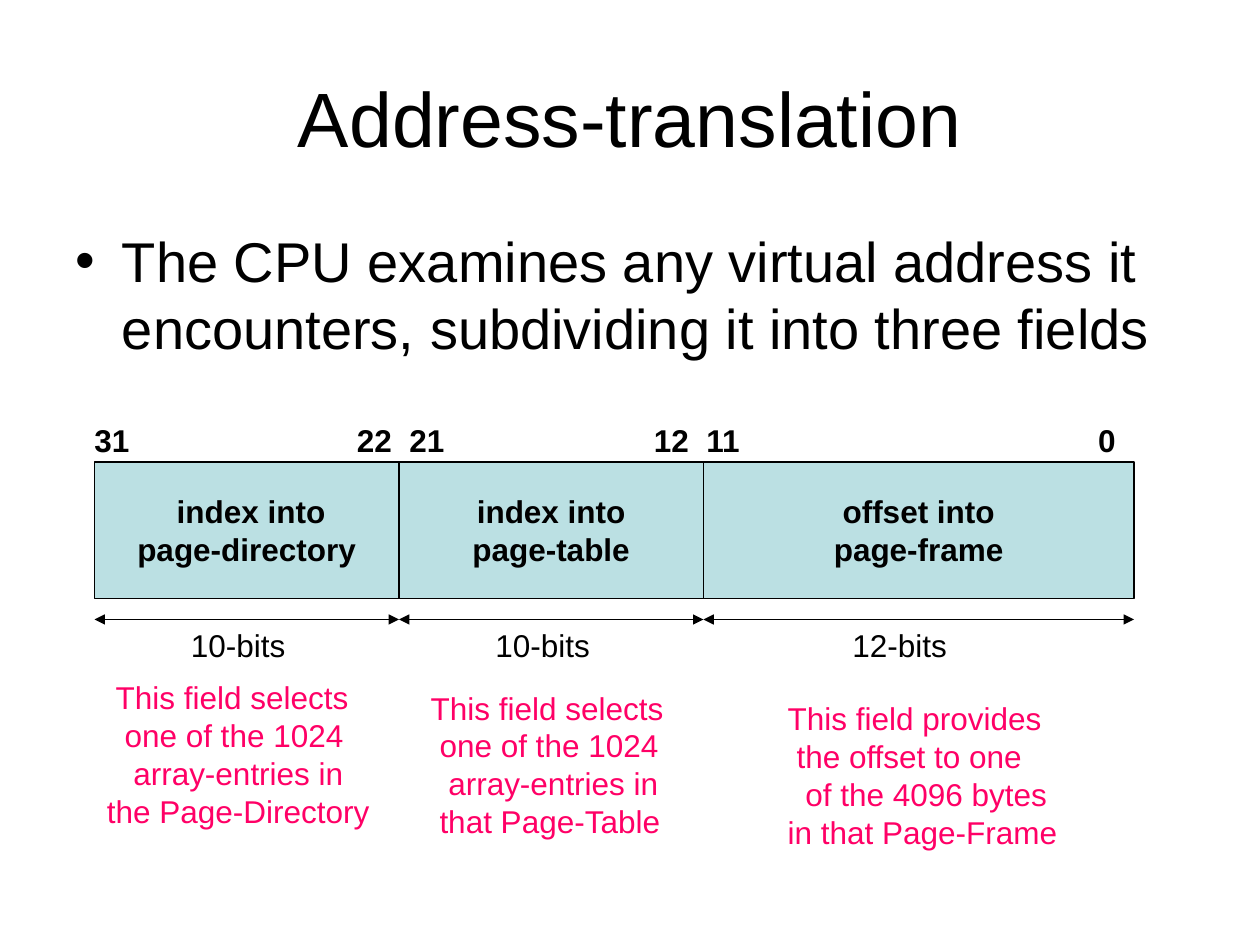
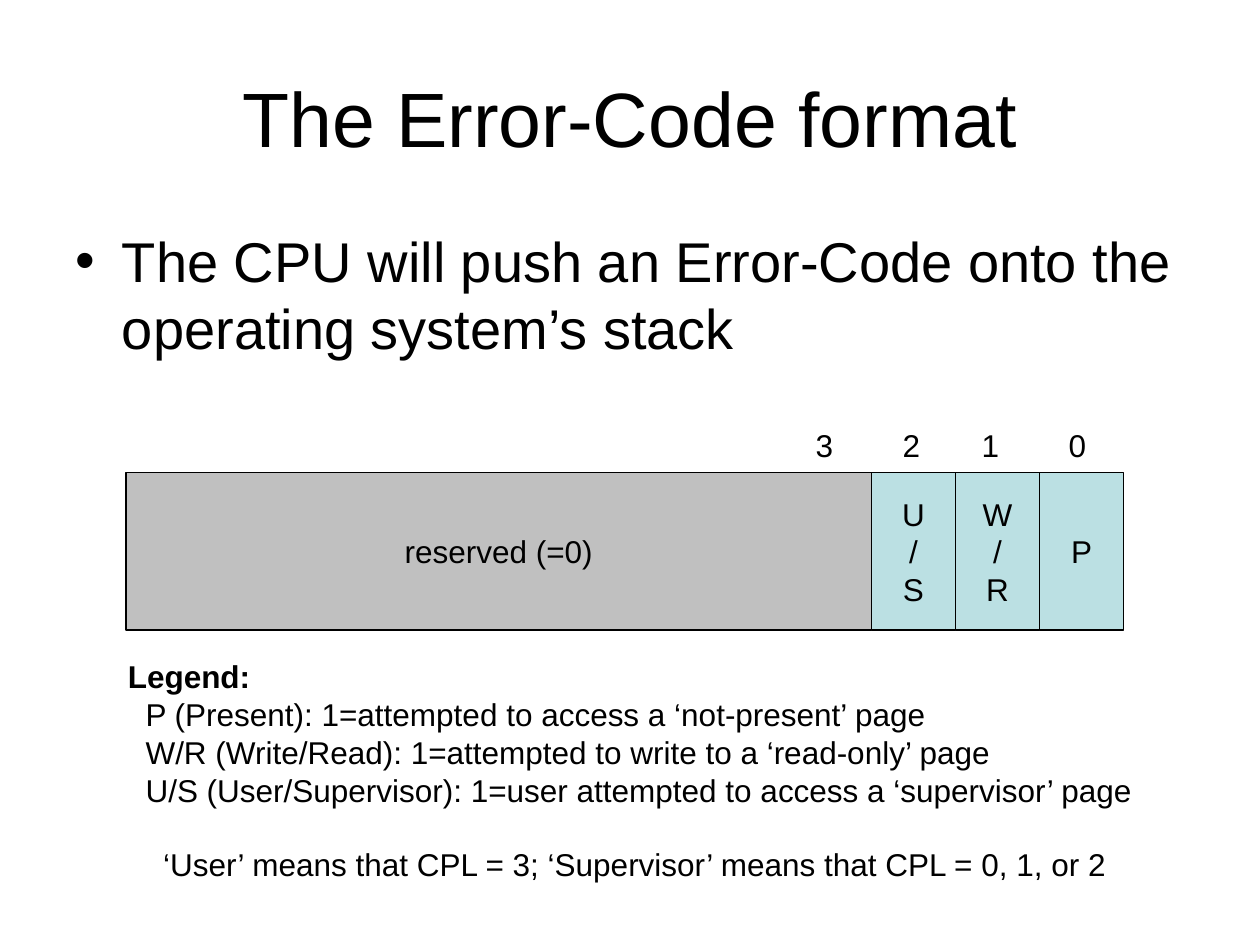
from dataclasses import dataclass
from itertools import accumulate

from lxml.etree import SubElement
from pptx import Presentation
from pptx.dml.color import RGBColor
from pptx.enum.shapes import MSO_CONNECTOR, MSO_SHAPE
from pptx.enum.text import MSO_ANCHOR, PP_ALIGN
from pptx.oxml.ns import qn
from pptx.util import Inches, Pt

COLS, ROWS = 120, 90
WIDE, HIGH = Inches(10), Inches(7.5)
FONT = "Arial"
BLACK, PINK, AQUA, GREY = "000000", "FF0066", "BBE0E3", "C0C0C0"
SPACE = 0.07  # inches, one word space at 18 points
INSET = 1.2  # columns between a box's edge and its text


@dataclass
class Line:
    text: str
    pad: int = 0
    bold: bool = False
    above: float = 0


def color(code):
    return RGBColor.from_string(code)


def grid(col, row):
    return round(WIDE * col / COLS), round(HIGH * row / ROWS)


def write(frame, lines, size=18, tint=BLACK, bold=False, align=PP_ALIGN.LEFT,
          anchor=MSO_ANCHOR.TOP, bullet=None):
    frame.word_wrap = True
    frame.vertical_anchor = anchor
    for i, line in enumerate(lines):
        line = line if isinstance(line, Line) else Line(line)
        para = frame.paragraphs[0] if i == 0 else frame.add_paragraph()
        para.alignment = align
        para.space_before = Pt(line.above)
        run = para.add_run()
        run.text = line.text
        font = run.font
        font.name, font.size, font.bold = FONT, Pt(size), bold or line.bold
        font.color.rgb = color(tint)
        props = para._p.get_or_add_pPr()
        hang = Inches(0.37) if bullet else 0
        props.set("marL", str(hang + Inches(SPACE * line.pad)))
        props.set("indent", str(-hang))
        if bullet:
            SubElement(props, qn("a:buFont"), typeface=FONT)
            SubElement(props, qn("a:buChar"), char=bullet)


def label(slide, box, lines, **style):
    col, row, width, height = box
    shape = slide.shapes.add_textbox(*grid(col, row), *grid(width, height))
    write(shape.text_frame, lines, **style)


def digit(slide, col, row, text, **style):
    """Place a bit number whose text begins at the column."""
    label(slide, (col - INSET, row, 6, 4.8), [text], **style)


def block(slide, box, lines, fill=AQUA, **style):
    col, row, width, height = box
    shape = slide.shapes.add_shape(MSO_SHAPE.RECTANGLE, *grid(col, row), *grid(width, height))
    shape.shadow.inherit = False
    shape.fill.solid()
    shape.fill.fore_color.rgb = color(fill)
    shape.line.color.rgb = color(BLACK)
    shape.line.width = Pt(0.75)
    write(shape.text_frame, lines, align=PP_ALIGN.CENTER, anchor=MSO_ANCHOR.MIDDLE, **style)


def span(slide, left, right, row):
    """Draw a double-headed arrow between two columns."""
    line = slide.shapes.add_connector(MSO_CONNECTOR.STRAIGHT, *grid(left, row), *grid(right, row))
    line.line.color.rgb = color(BLACK)
    line.line.width = Pt(0.75)
    stroke = line.line._ln
    for end in ("a:headEnd", "a:tailEnd"):
        SubElement(stroke, qn(end), type="triangle")
    SubElement(line._element.spPr, qn("a:effectLst"))


def start(deck, title, point):
    """Add a slide with its title and one bullet point."""
    slide = deck.slides.add_slide(deck.slide_layouts[6])
    label(slide, (6, 3.6, 108, 15), [title], size=44,
          align=PP_ALIGN.CENTER, anchor=MSO_ANCHOR.MIDDLE)
    label(slide, (6, 21, 108, 59.4), [Line(point, above=8)], size=32, bullet="•")
    return slide


def edges(left, widths):
    return list(accumulate(widths, initial=left))


def field(slide, box, ends, name, bits, shift, note, inset, drop):
    """Place a named field, its end bits, its bit count and its explanation."""
    col, row, width, height = box
    base = row + height + 2
    for text, offset in ends:
        digit(slide, col + offset, row - 4.5, text, bold=True)
    block(slide, box, name, bold=True)
    span(slide, col, col + width, base)
    label(slide, (col + shift, base, 14, 4.8), [bits])
    label(slide, (col + inset, base + drop, width, 15.6), note, tint=PINK)


def address(deck):
    slide = start(deck, "Address-translation",
                  "The CPU examines any virtual address it encounters, "
                  "subdividing it into three fields")
    widths = (29, 29, 41)
    top, height = 44, 13
    picks = [Line("This field selects", 1), Line("one of the 1024", 2),
             Line("array-entries in", 3)]
    fields = [
        ([("31", 0), ("22", 25)], [Line("index into", 1), "page-directory"],
         "10-bits", 8, picks + ["the Page-Directory"], 0),
        ([("21", 1), ("12", 24.3)], ["index into", "page-table"],
         "10-bits", 8, picks + [Line("that Page-Table", 2)], 1),
        ([("11", 0.3), ("0", 37.6)], ["offset into", "page-frame"], "12-bits", 13,
         [Line("This field provides", 1), Line("the offset to one", 2),
          Line("of the 4096 bytes", 3), Line("in that Page-Frame", 1)], 6),
    ]
    for i, (col, width, parts) in enumerate(zip(edges(9, widths), widths, fields)):
        field(slide, (col, top, width, height), *parts, drop=5 + i)


def error(deck):
    slide = start(deck, "The Error-Code format",
                  "The CPU will push an Error-Code onto the operating system’s stack")
    widths = (71, 8, 8, 8)
    top, height = 45, 15
    names = (["reserved (=0)"], ["U", "/", "S"], ["W", "/", "R"], ["P"])
    fills = (GREY, AQUA, AQUA, AQUA)
    bits = (("3", 65.7), ("2", 3), ("1", 2.5), ("0", 2.8))
    for col, width, name, fill, (bit, offset) in zip(edges(12, widths), widths, names, fills, bits):
        block(slide, (col, top, width, height), name, fill=fill)
        digit(slide, col + offset, top - 5, bit)
    label(slide, (11, top + height + 2, 100, 22.8), [
        Line("Legend:", bold=True),
        Line("P (Present): 1=attempted to access a ‘not-present’ page", 2),
        Line("W/R (Write/Read): 1=attempted to write to a ‘read-only’ page", 2),
        Line("U/S (User/Supervisor): 1=user attempted to access a ‘supervisor’ page", 2),
        Line("‘User’ means that CPL = 3; ‘Supervisor’ means that CPL = 0, 1, or 2", 4,
             above=21),
    ])


def main():
    deck = Presentation()
    deck.slide_width, deck.slide_height = WIDE, HIGH
    address(deck)
    error(deck)
    deck.save("out.pptx")


if __name__ == "__main__":
    main()
